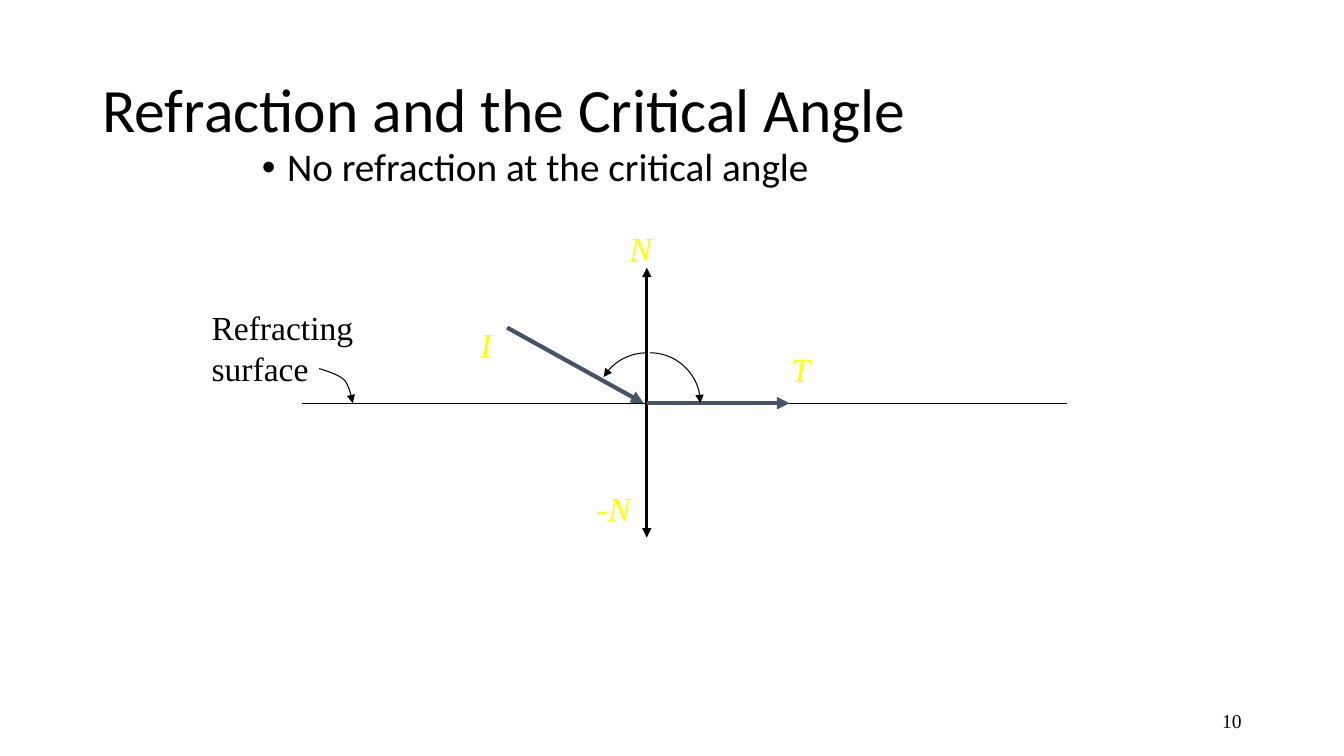
"""Build the slide on refraction and the critical angle."""
from lxml.etree import SubElement
from pptx import Presentation
from pptx.dml.color import RGBColor
from pptx.enum.shapes import MSO_CONNECTOR, MSO_SHAPE
from pptx.enum.text import MSO_ANCHOR, MSO_AUTO_SIZE, PP_ALIGN
from pptx.oxml.ns import qn
from pptx.util import Pt

PX = 9525
BLACK = RGBColor(0x00, 0x00, 0x00)
YELLOW = RGBColor(0xFF, 0xFF, 0x00)
SLATE = RGBColor(0x44, 0x54, 0x6A)
SANS, SERIF = "Calibri", "Times New Roman"


def add_run(p, text, size, font=SERIF, color=BLACK, italic=False):
    r = p.add_run()
    r.text = text
    r.font.size = Pt(size)
    r.font.name = font
    r.font.color.rgb = color
    r.font.italic = italic


def style_line(shape, color, width, arrow=None):
    shape.line.color.rgb = color
    shape.line.width = Pt(width)
    if arrow:
        SubElement(shape.get_or_add_ln(), qn("a:" + arrow), type="triangle")


prs = Presentation()
prs.slide_width, prs.slide_height = 1280 * PX, 720 * PX
s = prs.slides.add_slide(prs.slide_layouts[5])

title = s.shapes.title
title.left, title.top, title.width, title.height = [v * PX for v in (88, 38, 1104, 139)]
tf = title.text_frame
tf.auto_size = MSO_AUTO_SIZE.NONE
tf.vertical_anchor = MSO_ANCHOR.MIDDLE
p = tf.paragraphs[0]
p.alignment = PP_ALIGN.LEFT
p.line_spacing = 0.9
add_run(p, "Refraction and the Critical Angle", 44, SANS)

body = s.shapes.add_textbox(*[v * PX for v in (240, 136, 816, 56)])
tf = body.text_frame
tf.word_wrap = True
p = tf.paragraphs[0]
p.line_spacing = 0.9
pPr = p._p.get_or_add_pPr()
pPr.set("marL", str(24 * PX))
pPr.set("indent", str(-24 * PX))
SubElement(pPr, qn("a:buFont"), typeface="Arial")
SubElement(pPr, qn("a:buChar"), char="•")
add_run(p, "No refraction at the critical angle", 28, SANS)

curves = [
    [(304, 351), (313, 354), (323, 357), (328, 362)],
    [(328, 362), (333, 368), (335, 380), (336, 384)],
]
points = []
for curve in curves:
    for step in range(1, 13):
        t = step / 12
        weights = ((1 - t) ** 3, 3 * t * (1 - t) ** 2, 3 * t * t * (1 - t), t ** 3)
        points.append([sum(w * c[axis] for w, c in zip(weights, curve)) * PX for axis in (0, 1)])
builder = s.shapes.build_freeform(304 * PX, 351 * PX)
builder.add_line_segments(points, close=False)
pointer = builder.convert_to_shape()
pointer.shadow.inherit = False
pointer.fill.background()
style_line(pointer, BLACK, 0.75, "tailEnd")

rays = [
    (288, 384, 1016, 384, BLACK, 0.75, None),
    (616, 384, 616, 255, BLACK, 2.25, "tailEnd"),
    (616, 384, 616, 512, BLACK, 2.25, "tailEnd"),
    (483, 312, 613, 384, SLATE, 3, "tailEnd"),
    (616, 384, 752, 384, SLATE, 3, "tailEnd"),
]
for *ends, color, width, arrow in rays:
    ray = s.shapes.add_connector(MSO_CONNECTOR.STRAIGHT, *[v * PX for v in ends])
    style_line(ray, color, width, arrow)
    SubElement(ray._element.spPr, qn("a:effectLst"))

labels = [
    (192, 288, 163, 87, BLACK, [[("Refracting", False)], [("surface", False)]]),
    (590, 212, 42, 48, YELLOW, [[("N", True)]]),
    (559, 460, 53, 48, YELLOW, [[("-", False), ("N", True)]]),
    (448, 304, 30, 48, YELLOW, [[("I", True)]]),
    (744, 328, 38, 48, YELLOW, [[("T", True)]]),
]
for *box, color, lines in labels:
    tf = s.shapes.add_textbox(*[v * PX for v in box]).text_frame
    tf.word_wrap = False
    tf.auto_size = MSO_AUTO_SIZE.SHAPE_TO_FIT_TEXT
    for i, runs in enumerate(lines):
        p = tf.add_paragraph() if i else tf.paragraphs[0]
        for text, italic in runs:
            add_run(p, text, 24, color=color, italic=italic)

arcs = [
    (568, 306.9, (158.62, 192.76), "headEnd"),
    (571, 0, (162, 0), "tailEnd"),
]
for left, rotation, angles, arrow in arcs:
    arc = s.shapes.add_shape(MSO_SHAPE.ARC, left * PX, 336 * PX, 96 * PX, 96 * PX)
    arc.shadow.inherit = False
    arc.rotation = rotation
    arc.adjustments[0], arc.adjustments[1] = angles
    arc.fill.background()
    style_line(arc, BLACK, 0.75, arrow)

number = s.shapes.add_textbox(*[v * PX for v in (904, 667, 288, 38)])
tf = number.text_frame
tf.word_wrap = True
tf.vertical_anchor = MSO_ANCHOR.MIDDLE
p = tf.paragraphs[0]
p.alignment = PP_ALIGN.RIGHT
add_run(p, "10", 14)

prs.save("out.pptx")
